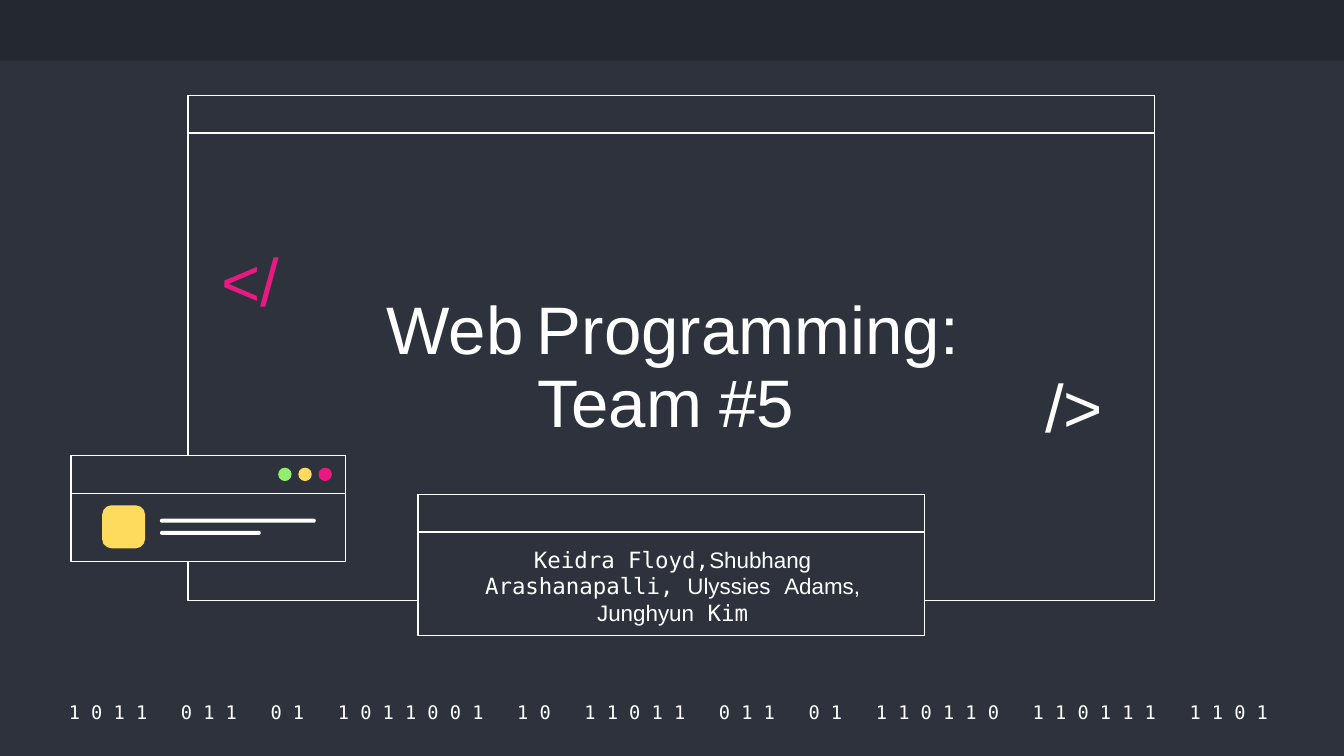
from dataclasses import dataclass

from pptx import Presentation
from pptx.dml.color import RGBColor
from pptx.enum.shapes import MSO_SHAPE
from pptx.enum.text import MSO_ANCHOR, PP_ALIGN
from pptx.util import Inches, Pt


@dataclass(frozen=True)
class Theme:
    back: str = "2D323C"
    band: str = "242830"
    white: str = "FFFFFF"
    pink: str = "E81981"
    gold: str = "FFDB5D"
    green: str = "94EE6B"
    sans: str = "Arial"
    mono: str = "DejaVu Sans Mono"
    title: float = 36
    body: float = 12
    digits: float = 10
    gap: float = 15
    line: float = 0.75
    bar: float = 0.28


class Painter:
    def __init__(self, slide, theme):
        self.slide = slide
        self.theme = theme
        fill = slide.background.fill
        fill.solid()
        fill.fore_color.rgb = RGBColor.from_string(theme.back)

    def shape(self, kind, area, fill, line=None, round=None):
        item = self.slide.shapes.add_shape(kind, *map(Inches, area))
        item.shadow.inherit = False
        item.fill.solid()
        item.fill.fore_color.rgb = RGBColor.from_string(fill)
        if line:
            item.line.color.rgb = RGBColor.from_string(line)
            item.line.width = Pt(self.theme.line)
        else:
            item.line.fill.background()
        if round is not None:
            item.adjustments[0] = round

    def frame(self, *area):
        self.shape(MSO_SHAPE.RECTANGLE, area, self.theme.back, self.theme.white)

    def window(self, left, top, width, height):
        self.frame(left, top, width, height)
        self.frame(left, top, width, self.theme.bar)

    def pill(self, area, fill, round):
        self.shape(MSO_SHAPE.ROUNDED_RECTANGLE, area, fill, round=round)

    def dot(self, left, top, size, fill):
        self.shape(MSO_SHAPE.OVAL, (left, top, size, size), fill)

    def text(self, area, runs, size, font, color=None, align=PP_ALIGN.CENTER,
             anchor=MSO_ANCHOR.MIDDLE, space=None):
        frame = self.slide.shapes.add_textbox(*map(Inches, area)).text_frame
        frame.word_wrap = True
        frame.vertical_anchor = anchor
        frame.margin_left = frame.margin_right = Inches(0.1)
        frame.margin_top = frame.margin_bottom = Inches(0.1)
        para = frame.paragraphs[0]
        para.alignment = align
        para.line_spacing = space
        para.font.size = Pt(size)
        para.font.name = font
        para.font.color.rgb = RGBColor.from_string(color or self.theme.white)
        for words, style in runs:
            run = para.add_run()
            run.text = words
            if "font" in style:
                run.font.name = style["font"]
            if "size" in style:
                run.font.size = Pt(style["size"])
            if "track" in style:
                run.font._element.set("spc", str(style["track"]))

    def binary(self, area, words):
        wide = {"track": 1204}
        runs = []
        for word in words.split():
            runs += [(" ".join(word), {}), (" ", wide)]
        runs[-1] = (" ", {})
        self.text(area, runs, self.theme.digits, self.theme.mono)


def main():
    deck = Presentation()
    deck.slide_width, deck.slide_height = Inches(10), Inches(5.625)
    theme = Theme()
    art = Painter(deck.slides.add_slide(deck.slide_layouts[6]), theme)

    art.shape(MSO_SHAPE.RECTANGLE, (0, 0, 10, 0.45), theme.band)
    art.binary((0.38, 5.2, 9.27, 0.2),
               "1011 011 01 1011001 10 11011 011 01 110110 110111 1101")
    art.window(1.4, 0.71, 7.19, 3.76)
    art.window(3.11, 3.68, 3.77, 1.05)

    for left, top, mark, color in ((1.55, 1.79, "</", theme.pink),
                                   (7.68, 2.73, "/>", theme.white)):
        art.text((left, top, 0.77, 0.66), [(mark, {})], theme.title, theme.sans,
                 color, PP_ALIGN.LEFT, space=0.9)

    thin = {"font": theme.mono, "size": theme.body}
    wide = {"font": theme.mono, "size": theme.gap}
    title = [("Web", {}), (" ", thin), ("Programming:", {}), (" ", wide),
             ("Team", {}), (" ", wide), ("#5", {}), (" ", thin)]
    art.text((2.26, 1.41, 5.49, 1.98), title, theme.title, theme.sans,
             anchor=MSO_ANCHOR.BOTTOM, space=0.9)

    sans = {"font": theme.sans}
    names = [("Keidra Floyd,", {}), ("Shubhang ", sans), ("Arashanapalli, ", {}),
             ("Ulyssies", sans), (" ", {}), ("Adams,", sans), (" ", {}),
             ("Junghyun", sans), (" Kim", {})]
    art.text((3.34, 3.96, 3.33, 0.78), names, theme.body, theme.mono,
             anchor=MSO_ANCHOR.TOP)

    art.frame(0.53, 3.67, 2.04, 0.51)
    art.frame(0.53, 3.39, 2.04, theme.bar)
    art.pill((0.76, 3.76, 0.32, 0.32), theme.gold, 0.22)
    for top, width in ((3.86, 1.16), (3.95, 0.75)):
        art.pill((1.19, top, width, 0.03), theme.white, 0.5)
    for step, color in enumerate((theme.green, theme.gold, theme.pink)):
        art.dot(2.07 + 0.15 * step, 3.48, 0.1, color)

    deck.save("out.pptx")


if __name__ == "__main__":
    main()
